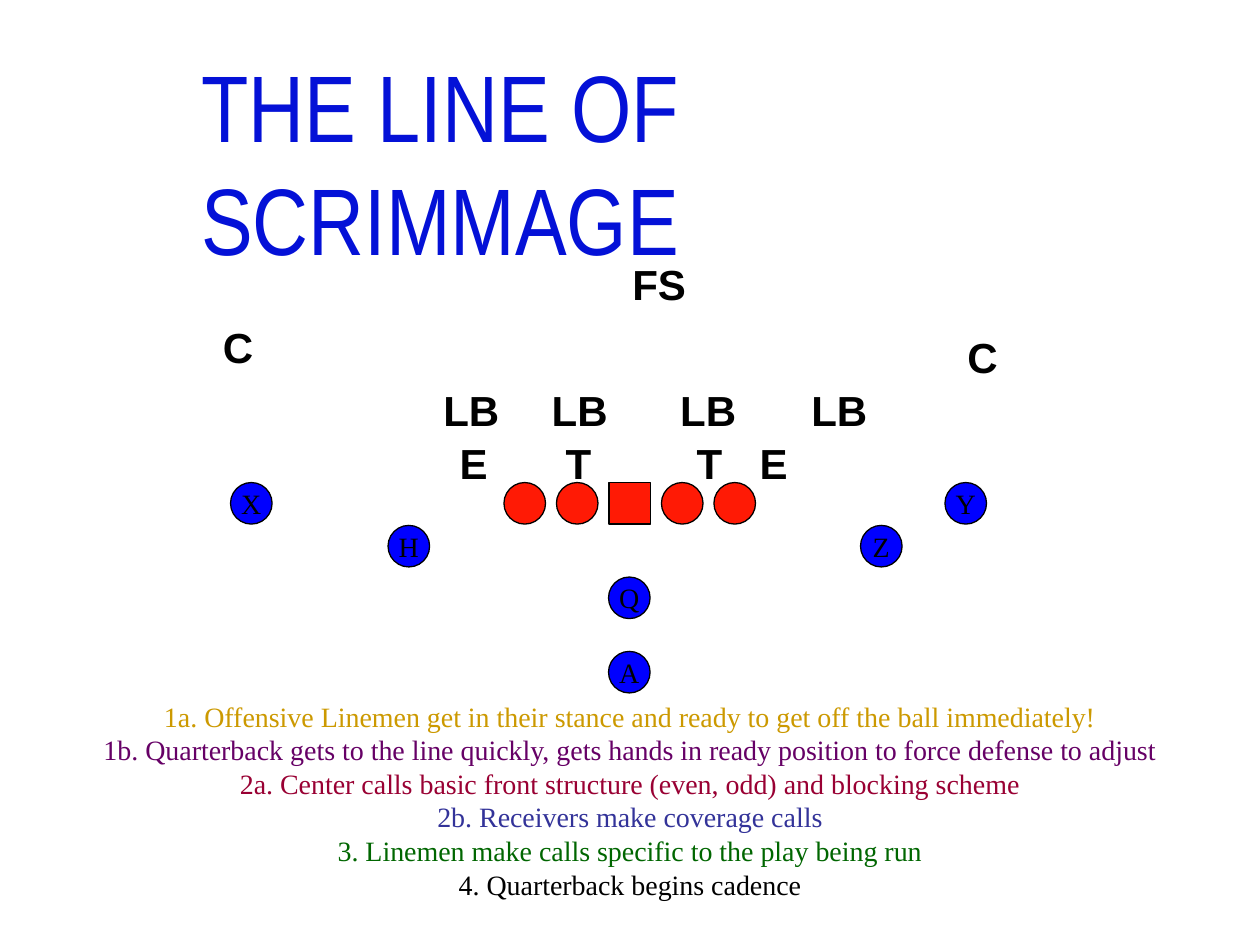
from dataclasses import dataclass

from pptx import Presentation
from pptx.dml.color import RGBColor
from pptx.enum.shapes import MSO_SHAPE
from pptx.enum.text import MSO_ANCHOR, PP_ALIGN
from pptx.util import Inches, Pt

OVAL, RECT = MSO_SHAPE.OVAL, MSO_SHAPE.RECTANGLE
LEFT, CENTER = PP_ALIGN.LEFT, PP_ALIGN.CENTER
TOP, MIDDLE = MSO_ANCHOR.TOP, MSO_ANCHOR.MIDDLE


@dataclass(frozen=True)
class Theme:
    ink: str = "000000"
    title: str = "0411D7"
    lineman: str = "FF1A05"
    skill_player: str = "0000FF"
    steps: tuple = ("CC9900", "660066", "990033", "333399", "006600", "000000")
    title_font: str = "Arial Narrow"
    defense_font: str = "Arial"
    body_font: str = "Times New Roman"
    title_size: int = 54
    defense_size: int = 24
    body_size: int = 16
    outline: float = 0.75
    marker: float = 0.33


class PlayDiagram:
    def __init__(self, slide, theme):
        self.slide = slide
        self.theme = theme

    def fill_frame(self, frame, lines, font, align=LEFT, **frame_format):
        """Fill a text frame with (text, colour) lines."""
        for name, value in frame_format.items():
            setattr(frame, name, value)
        for index, (text, color) in enumerate(lines):
            paragraph = frame.add_paragraph() if index else frame.paragraphs[0]
            paragraph.alignment = align
            run = paragraph.add_run()
            run.text = text
            for name, value in font.items():
                setattr(run.font, name, value)
            run.font.color.rgb = RGBColor.from_string(color)

    def text(self, left, top, width, height, lines, font, align=LEFT, wrap=True):
        box = self.slide.shapes.add_textbox(
            Inches(left), Inches(top), Inches(width), Inches(height))
        self.fill_frame(box.text_frame, lines, font, align,
                        word_wrap=wrap, vertical_anchor=TOP)

    def defender(self, label, left, top, width):
        font = {"name": self.theme.defense_font,
                "size": Pt(self.theme.defense_size), "bold": True}
        self.text(left, top, width, 0.5, [(label, self.theme.ink)], font, wrap=False)

    def marker(self, left, top, color, label=None, kind=OVAL):
        side = Inches(self.theme.marker)
        shape = self.slide.shapes.add_shape(
            kind, Inches(left), Inches(top), side, side)
        shape.shadow.inherit = False
        shape.fill.solid()
        shape.fill.fore_color.rgb = RGBColor.from_string(color)
        shape.line.color.rgb = RGBColor.from_string(self.theme.ink)
        shape.line.width = Pt(self.theme.outline)
        if label:
            font = {"name": self.theme.body_font, "size": Pt(self.theme.body_size)}
            self.fill_frame(shape.text_frame, [(label, self.theme.ink)], font, CENTER,
                            word_wrap=False, vertical_anchor=MIDDLE)


def main():
    theme = Theme()
    prs = Presentation()
    prs.slide_width, prs.slide_height = Inches(10), Inches(7.5)
    diagram = PlayDiagram(prs.slides.add_slide(prs.slide_layouts[6]), theme)

    # Offensive line, with the center as a square
    scrimmage_top = 3.83
    for position in range(5):
        diagram.marker(4 + position * 5 / 12, scrimmage_top, theme.lineman,
                       kind=RECT if position == 2 else OVAL)

    # Receivers and backfield
    skill_players = [
        ("H", 3.08, 4.17), ("Z", 6.83, 4.17),
        ("X", 1.83, scrimmage_top), ("Y", 7.5, scrimmage_top),
        ("Q", 4.83, 4.58), ("A", 4.83, 5.17),
    ]
    for label, left, top in skill_players:
        diagram.marker(left, top, theme.skill_player, label)

    # Defense, row by row: label, box width, top, left edges
    defense = [
        ("T", 0.4, 3.42, (4.39, 5.43)),
        ("E", 0.42, 3.42, (3.55, 5.93)),
        ("LB", 0.65, 3, (3.42, 4.28, 5.3, 6.34)),
        ("C", 0.44, 2.5, (1.67,)),
        ("C", 0.44, 2.58, (7.58,)),
        ("FS", 0.63, 2, (4.92,)),
    ]
    for label, width, top, lefts in defense:
        for left in lefts:
            diagram.defender(label, left, top, width)

    # Title
    diagram.text(1.5, 0.33, 7.2, 1.02, [("THE LINE OF SCRIMMAGE", theme.title)],
                 {"name": theme.title_font, "size": Pt(theme.title_size)})

    # Steps at the line
    steps = [
        "1a. Offensive Linemen get in their stance and ready to get off the ball immediately!",
        "1b. Quarterback gets to the line quickly, gets hands in ready position to force defense to adjust",
        "2a. Center calls basic front structure (even, odd) and blocking scheme",
        "2b. Receivers make coverage calls",
        "3. Linemen make calls specific to the play being run",
        "4. Quarterback begins cadence",
    ]
    diagram.text(0.25, 5.5, 9.5, 1.7, list(zip(steps, theme.steps)),
                 {"name": theme.body_font, "size": Pt(theme.body_size)}, CENTER)

    prs.save("out.pptx")


if __name__ == "__main__":
    main()
